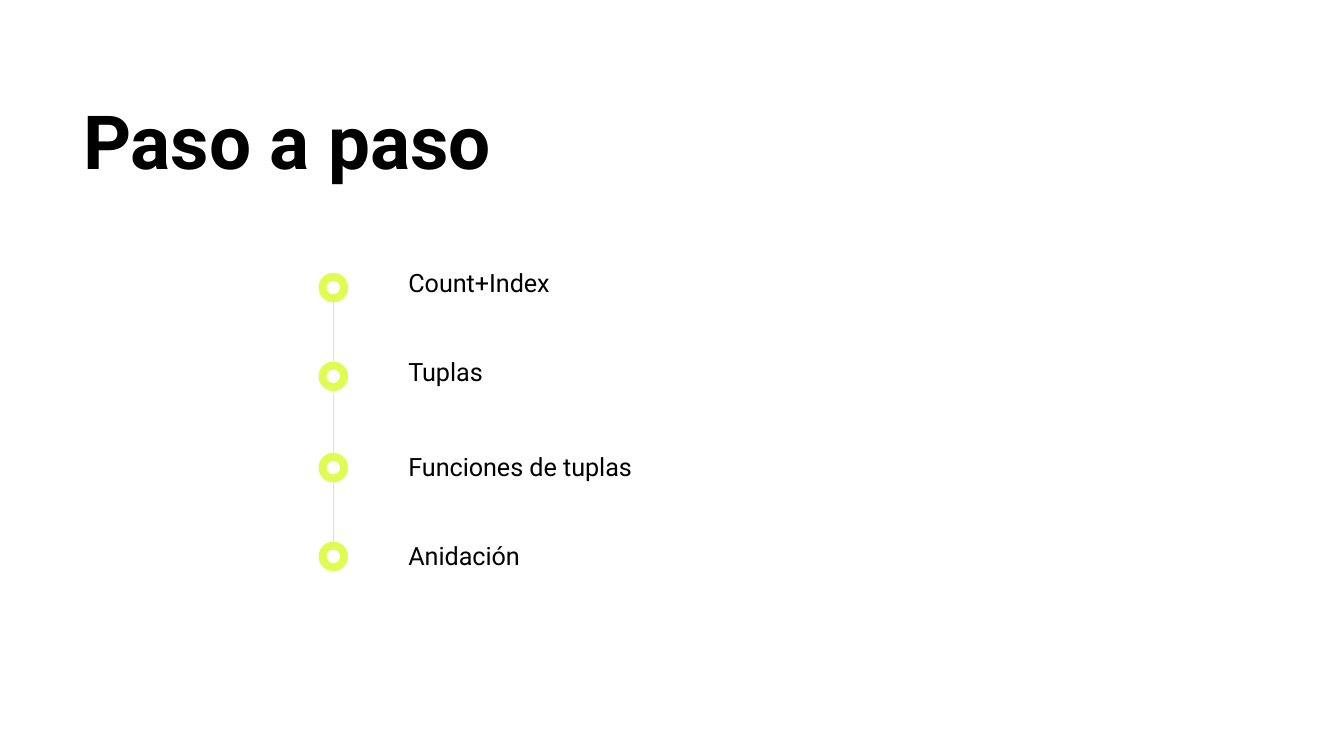
from dataclasses import dataclass
from lxml import etree
from pptx import Presentation
from pptx.dml.color import RGBColor
from pptx.enum.shapes import MSO_CONNECTOR, MSO_SHAPE
from pptx.enum.text import MSO_ANCHOR
from pptx.oxml.ns import qn
from pptx.util import Inches, Pt

OVAL = MSO_SHAPE.OVAL
LINE = MSO_CONNECTOR.STRAIGHT
TOP = MSO_ANCHOR.TOP
HUES = {"lime": "DEFC52", "white": "FFFFFF", "black": "000000"}
FONT = "Roboto"
RING, HOLE = 0.22, 0.1
AXIS = 2.48


@dataclass
class Step:
    label: str
    dot: float
    text: float


@dataclass
class Link:
    start: float
    end: float


STEPS = [
    Step("Count+Index", 2.03, 1.89),
    Step("Tuplas", 2.69, 2.55),
    Step("Funciones de tuplas", 3.37, 3.26),
    Step("Anidación", 4.03, 3.92),
]
LINKS = [Link(2.24, 2.69), Link(2.93, 3.37), Link(3.59, 4.03)]


def hue(name: str) -> RGBColor:
    return RGBColor.from_string(HUES[name])


def add_disc(group, top: float, size: float, name: str) -> None:
    disc = group.shapes.add_shape(
        OVAL, Inches(AXIS - size / 2), Inches(top), Inches(size), Inches(size))
    disc.shadow.inherit = False
    disc.fill.solid()
    disc.fill.fore_color.rgb = hue(name)
    disc.line.fill.background()


def add_ring(slide, top: float) -> None:
    group = slide.shapes.add_group_shape()
    add_disc(group, top, RING, "lime")
    add_disc(group, top + (RING - HOLE) / 2, HOLE, "white")


def add_link(slide, link: Link) -> None:
    line = slide.shapes.add_connector(
        LINE, Inches(AXIS), Inches(link.start), Inches(AXIS), Inches(link.end))
    line.line.color.rgb = hue("lime")
    line.line.width = Pt(0.75)
    etree.SubElement(line._element.spPr, qn("a:effectLst"))


def add_text(slide, text: str, left: float, top: float, width: float,
             height: float, size: float, bold: bool = False):
    box = slide.shapes.add_textbox(
        Inches(left), Inches(top), Inches(width), Inches(height))
    frame = box.text_frame
    frame.word_wrap = True
    frame.vertical_anchor = TOP
    frame.margin_left = frame.margin_right = Inches(0.1)
    frame.margin_top = frame.margin_bottom = Inches(0.1)
    para = frame.paragraphs[0]
    para.text = text
    para.font.name = FONT
    para.font.size = Pt(size)
    para.font.bold = bold
    para.font.color.rgb = hue("black")
    return para


def main() -> None:
    deck = Presentation()
    deck.slide_width = Inches(10)
    deck.slide_height = Inches(10 * 9 / 16)
    slide = deck.slides.add_slide(deck.slide_layouts[6])
    slide.background.fill.solid()
    slide.background.fill.fore_color.rgb = hue("white")

    title = add_text(slide, "Paso a paso", 0.52, 0.68, 8.9, 0.81, 40, True)
    title.line_spacing = 0.9
    for link in LINKS:
        add_link(slide, link)
    for step in STEPS:
        add_ring(slide, step.dot)
        add_text(slide, step.label, 2.94, step.text, 4.68, 0.43, 13.5)
    deck.save("out.pptx")


if __name__ == "__main__":
    main()
